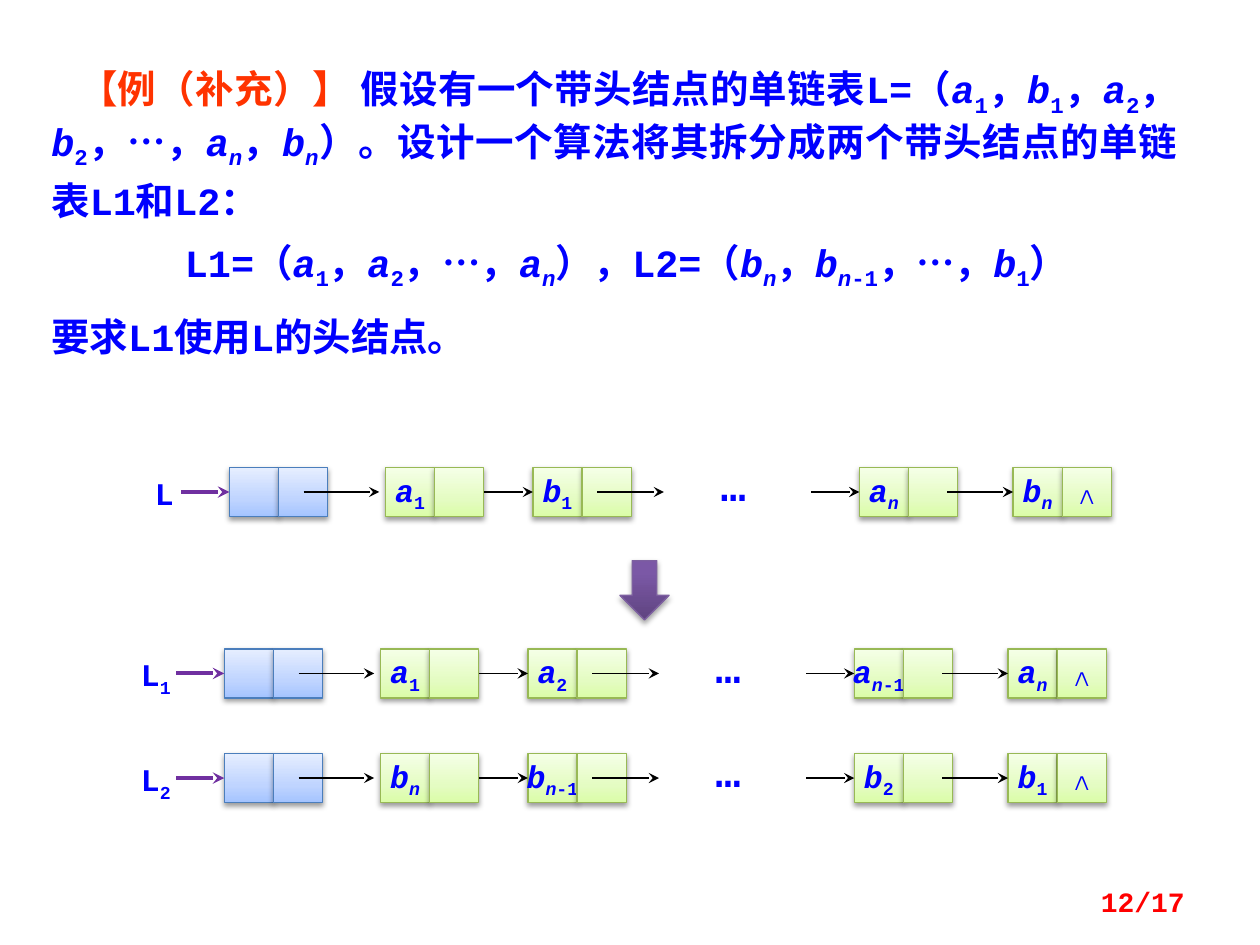
from lxml import etree
from pptx import Presentation
from pptx.dml.color import RGBColor
from pptx.enum.shapes import MSO_CONNECTOR as Connector, MSO_SHAPE as Shape
from pptx.enum.text import MSO_ANCHOR as Anchor, PP_ALIGN as Align
from pptx.oxml.ns import qn
from pptx.util import Inches, Pt

BLUE, ORANGE, RED, BLACK, PURPLE = "0000FF", "FF3300", "FF0000", "000000", "7030A0"
HEAD_STYLE = dict(stops=[(0, "A4C4FF"), (35, "BFD4FF"), (100, "E6EEFF")],
                  outline="4B7EBC", shade=38, drop=1.6)
NODE_STYLE = dict(stops=[(0, "DAFDA7"), (35, "E4FCC2"), (100, "F5FFE7")],
                  outline="98B955", shade=38, drop=1.6)
ARROW_STYLE = dict(stops=[(0, "5F4480"), (80, "7B58A6"), (100, "7C57A8")],
                   outline="7D60A0", shade=35, drop=1.8)
CELL = 0.39
# Left edges of the four data nodes, measured from the head node
NODE_OFFSETS = (1.24, 2.41, 5.0, 6.22)


def rgb(value):
    return RGBColor.from_string(value)


def apply(target, **values):
    for name, value in values.items():
        setattr(target, name, value)


def write(paragraph, marked, size, color=BLUE, bold=True):
    """Runs are parted by |; a leading / is italic, _ subscript, ~ both, ! orange."""
    for piece in marked.split("|"):
        mark = piece[0] if piece[0] in "/_~!" else ""
        run = paragraph.add_run()
        run.text = piece[len(mark):]
        apply(run.font, name="Courier New", size=Pt(size), bold=bold,
              italic=mark in ("/", "~"))
        run.font.color.rgb = rgb(ORANGE if mark == "!" else color)
        if mark in ("_", "~"):
            run._r.get_or_add_rPr().set("baseline", "-25000")


def add_text(slide, box, marked, size, color=BLUE, align=Align.LEFT, anchor=Anchor.TOP):
    frame = slide.shapes.add_textbox(*map(Inches, box)).text_frame
    apply(frame, word_wrap=True, vertical_anchor=anchor)
    frame.paragraphs[0].alignment = align
    write(frame.paragraphs[0], marked, size, color)


def add_color(parent, value):
    return etree.SubElement(parent, qn("a:srgbClr"), val=value)


def add_solid(slide, kind, box, style):
    """A preset shape with a vertical gradient and a soft shadow below it."""
    solid = slide.shapes.add_shape(kind, *map(Inches, box))
    solid.fill.gradient()
    solid.fill.gradient_angle = 90
    properties = solid._element.spPr
    stops = properties.find(qn("a:gradFill")).find(qn("a:gsLst"))
    for stop in list(stops):
        stops.remove(stop)
    for position, color in style["stops"]:
        add_color(etree.SubElement(stops, qn("a:gs"), pos=str(position * 1000)), color)
    solid.line.color.rgb = rgb(style["outline"])
    solid.line.width = Pt(0.75)
    solid.shadow.inherit = False
    shadow = etree.SubElement(
        properties.find(qn("a:effectLst")), qn("a:outerShdw"), blurRad=str(Pt(3.1)),
        dist=str(Pt(style["drop"])), dir="5400000", rotWithShape="0")
    etree.SubElement(add_color(shadow, BLACK), qn("a:alpha"), val=str(style["shade"] * 1000))
    return solid


def add_pointer(slide, start, end, y, color=BLACK, width=0.75, source=None, target=None):
    pointer = slide.shapes.add_connector(
        Connector.STRAIGHT, Inches(start), Inches(y), Inches(end), Inches(y))
    if source is not None:
        pointer.begin_connect(source, 3)
    if target is not None:
        pointer.end_connect(target, 1)
    pointer.line.color.rgb = rgb(color)
    pointer.line.width = Pt(width)
    properties = pointer._element.spPr
    etree.SubElement(properties.find(qn("a:ln")), qn("a:tailEnd"), type="stealth")
    etree.SubElement(properties, qn("a:effectLst"))


def add_node(slide, left, top, style, data="", link=""):
    """Two joined cells, for the data and the link."""
    cells = []
    for column, marked in enumerate((data, link)):
        cell = add_solid(slide, Shape.RECTANGLE,
                         (left + column * CELL, top, CELL, CELL), style)
        if marked:
            frame = cell.text_frame
            apply(frame, word_wrap=False, vertical_anchor=Anchor.MIDDLE)
            frame.paragraphs[0].alignment = Align.CENTER
            write(frame.paragraphs[0], marked, 18)
        cells.append(cell)
    return cells


def add_chain(slide, left, top, label, label_box, data):
    """One linked list: name, head node, four data nodes and their pointers."""
    middle = top + CELL / 2
    label_offset, label_width = label_box
    add_text(slide, (left + label_offset, top, label_width, 0.4), label, 18)
    head = add_node(slide, left, top, HEAD_STYLE)
    links = ("", "", "", "∧")
    first, second, third, last = [
        add_node(slide, left + offset, top, NODE_STYLE, marked, link)
        for offset, marked, link in zip(NODE_OFFSETS, data, links)]
    add_text(slide, (left + 3.8, top - 0.11, 0.79, 0.5), "…", 24)

    add_pointer(slide, left - 0.38, left, middle, PURPLE, 2.25, target=head[0])
    for start, end, source, target in (
            (0.59, 1.19, None, None), (2.02, 2.41, first[1], second[0]),
            (2.92, 3.45, None, None), (4.62, 5.0, None, third[0]),
            (5.7, 6.22, None, last[0])):
        add_pointer(slide, left + start, left + end, middle, source=source, target=target)


def add_problem(slide, box):
    """The exercise, in three justified paragraphs with their first-line indents."""
    frame = slide.shapes.add_textbox(*map(Inches, box)).text_frame
    frame.word_wrap = True
    paragraphs = (
        (0.22, "!【例（补充）】 |假设有一个带头结点的单链表L=（|/a|_1|，|/b|_1|，|/a|_2|，|/b|_2"
               "|，…，|/a|~n|，|/b|~n|）。设计一个算法将其拆分成两个带头结点的单链表L1和L2："),
        (1.06, "L1=（|/a|_1|，|/a|_2|，…，|/a|~n|），L2=（|/b|~n|，|/b|~n|_-1|，…，|/b|_1|）"),
        (0, "要求L1使用L的头结点。"))
    for index, (indent, marked) in enumerate(paragraphs):
        paragraph = frame.add_paragraph() if index else frame.paragraphs[0]
        apply(paragraph, alignment=Align.JUSTIFY, line_spacing=Pt(30),
              space_before=Pt(9 if index else 0))
        paragraph._p.get_or_add_pPr().set("indent", str(Inches(indent)))
        write(paragraph, marked, 22)


def main():
    deck = Presentation()
    apply(deck, slide_width=Inches(10), slide_height=Inches(7.5))
    slide = deck.slides.add_slide(deck.slide_layouts[6])

    add_problem(slide, (0.31, 0.47, 9.14, 2.47))

    # The list before and after the split
    add_chain(slide, 1.82, 3.71, "L", (-0.69, 0.35), ("/a|_1", "/b|_1", "/a|~n", "/b|~n"))
    add_solid(slide, Shape.DOWN_ARROW, (4.92, 4.45, 0.39, 0.47), ARROW_STYLE)
    result_label = (-0.76, 0.61)
    add_chain(slide, 1.78, 5.15, "L|_1", result_label,
              ("/a|_1", "/a|_2", "/a|~n|_-1", "/a|~n"))
    add_chain(slide, 1.78, 5.98, "L|_2", result_label,
              ("/b|~n", "/b|~n|_-1", "/b|_2", "/b|_1"))

    # Page number
    add_text(slide, (7.17, 6.95, 2.33, 0.4), "12/17", 16, RED, Align.RIGHT, Anchor.MIDDLE)
    deck.save("out.pptx")


if __name__ == "__main__":
    main()
